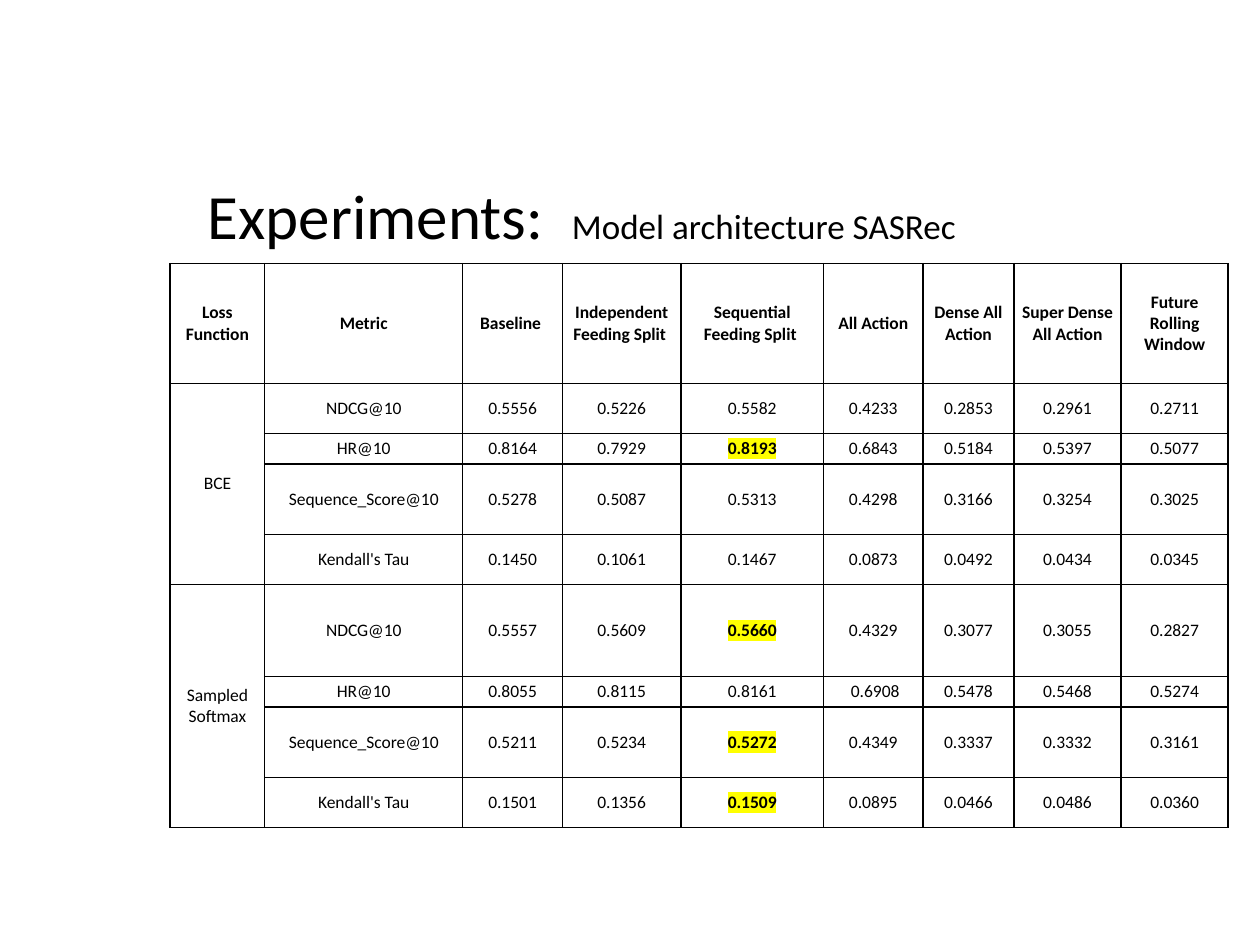
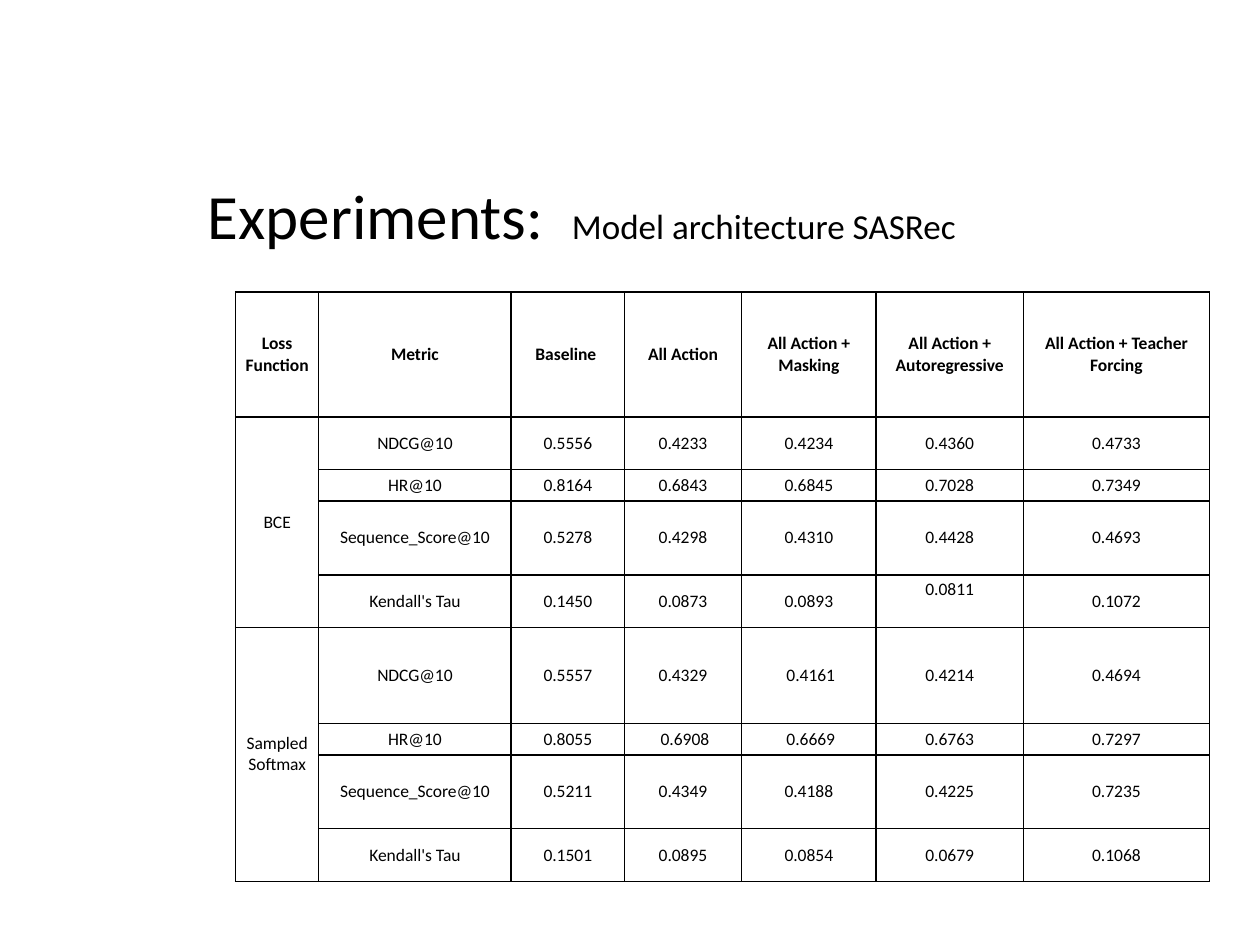
from dataclasses import dataclass
from lxml.etree import SubElement
from pptx import Presentation
from pptx.dml.color import RGBColor
from pptx.enum.text import MSO_ANCHOR, PP_ALIGN
from pptx.oxml import parse_xml
from pptx.oxml.ns import qn
from pptx.util import Inches, Pt

NS = 'xmlns:a="http://schemas.openxmlformats.org/drawingml/2006/main"'


@dataclass(frozen=True)
class Theme:
    """Colours, type sizes and measures that the slides share."""
    font: str = "Calibri"
    ink: str = "000000"
    paper: str = "FFFFFF"
    mark: str = "FFFF00"
    head: int = 36
    sub: int = 20
    body: int = 10
    rule: int = 1
    padx: float = 0.05
    pady: float = 0.03


THEME = Theme()
WIDE, HIGH = 10, 7.5
TITLE = (0.155, 0.143, 0.795, 0.167)
ROWS = (0.95, 0.4, 0.24, 0.56, 0.4, 0.73, 0.24, 0.56, 0.4)
LOSSES = ("BCE", "Sampled Softmax")
METRICS = ("NDCG@10", "HR@10", "Sequence_Score@10", "Kendall's Tau")
BASE = ("0.5556", "0.8164", "0.5278", "0.1450",
        "0.5557", "0.8055", "0.5211", "0.1501")
ACTION = ("0.4233", "0.6843", "0.4298", "0.0873",
          "0.4329", " 0.6908", "0.4349", "0.0895")

SPLITS = {
    "Baseline ": BASE,
    "Independent Feeding Split ": (
        "0.5226", "0.7929", "0.5087", "0.1061",
        "0.5609", "0.8115", "0.5234", "0.1356"),
    "Sequential Feeding Split ": (
        "0.5582", "0.8193", "0.5313", "0.1467",
        "0.5660", "0.8161", "0.5272", "0.1509"),
    "All Action": ACTION,
    "Dense All Action": (
        "0.2853", "0.5184", "0.3166", "0.0492",
        "0.3077", "0.5478", "0.3337", "0.0466"),
    "Super Dense All Action": (
        "0.2961", "0.5397", "0.3254", "0.0434",
        "0.3055", "0.5468", "0.3332", "0.0486"),
    "Future Rolling Window": (
        "0.2711", "0.5077", "0.3025", "0.0345",
        "0.2827", "0.5274", "0.3161", "0.0360"),
}
MODES = {
    "Baseline ": BASE,
    "All Action": ACTION,
    "All Action + Masking": (
        "0.4234", "0.6845", "0.4310", "0.0893",
        " 0.4161", " 0.6669", "0.4188", "0.0854"),
    "All Action + Autoregressive": (
        "0.4360", "0.7028", "0.4428", "0.0811",
        "0.4214", "0.6763", "0.4225", "0.0679"),
    "All Action + Teacher Forcing": (
        "0.4733", "0.7349", "0.4693", "0.1072",
        "0.4694", "0.7297", "0.7235", "0.1068"),
}
SPLIT_COLS = (0.75, 1.57, 0.79, 0.94, 1.13, 0.79, 0.72, 0.85, 0.85)
MODE_COLS = (0.66, 1.53, 0.9, 0.93, 1.07, 1.17, 1.48)
BEST = {"0.8193", "0.5660", "0.5272", "0.1509"}
RAISED = {"0.0811"}


def place(box):
    """Turn shares of the slide into lengths."""
    return [Inches(part * size) for part, size in zip(box, (WIDE, HIGH) * 2)]


def style(run, size, bold=False):
    """Give a run the shared font and colour."""
    run.font.name = THEME.font
    run.font.size = Pt(size)
    run.font.bold = bold
    run.font.color.rgb = RGBColor.from_string(THEME.ink)


def light(run):
    """Highlight a run in the marker colour."""
    tint = parse_xml(f'<a:highlight {NS}><a:srgbClr val="{THEME.mark}"/></a:highlight>')
    run.font._element.find(qn("a:solidFill")).addnext(tint)


def frame(cell):
    """Rule all four sides of a cell."""
    props = cell._tc.get_or_add_tcPr()
    for spot, side in enumerate(("lnL", "lnR", "lnT", "lnB")):
        line = parse_xml(f'<a:{side} {NS} w="{Pt(THEME.rule)}"/>')
        fill = SubElement(line, qn("a:solidFill"))
        SubElement(fill, qn("a:srgbClr"), val=THEME.ink)
        props.insert(spot, line)


def write(cell, text, bold):
    """Fill a cell with centred text."""
    cell.text_frame.text = text
    cell.vertical_anchor = MSO_ANCHOR.TOP if text in RAISED else MSO_ANCHOR.MIDDLE
    para = cell.text_frame.paragraphs[0]
    para.alignment = PP_ALIGN.CENTER
    for run in para.runs:
        style(run, THEME.body, bold or text in BEST)
        if text in BEST:
            light(run)


def title(slide, box):
    """Set the heading and its smaller second part in the box."""
    text = slide.shapes.add_textbox(*place(box)).text_frame
    text.word_wrap = True
    text.vertical_anchor = MSO_ANCHOR.MIDDLE
    para = text.paragraphs[0]
    para.text = "Experiments:  "
    para.add_run().text = "Model architecture SASRec"
    for run, size in zip(para.runs, (THEME.head, THEME.sub)):
        style(run, size)


def grid(slide, box, cols, data):
    """Draw the results table, sharing the box among columns and rows."""
    left, top, width, height = place(box)
    table = slide.shapes.add_table(len(ROWS), len(cols), left, top, width, height).table
    table.first_row = table.horz_banding = False
    for col, part in zip(table.columns, cols):
        col.width = int(width * part / sum(cols))
    for row, part in zip(table.rows, ROWS):
        row.height = int(height * part / sum(ROWS))
    losses = [name for loss in LOSSES for name in (loss, "", "", "")]
    lines = [("Loss Function", "Metric", *data),
             *zip(losses, METRICS * len(LOSSES), *data.values())]
    for r, line in enumerate(lines):
        for c, text in enumerate(line):
            cell = table.cell(r, c)
            cell.margin_left = cell.margin_right = Inches(THEME.padx)
            cell.margin_top = cell.margin_bottom = Inches(THEME.pady)
            cell.fill.solid()
            cell.fill.fore_color.rgb = RGBColor.from_string(THEME.paper)
            frame(cell)
            write(cell, text, r == 0)
    step = len(METRICS)
    for r in range(1, len(ROWS), step):
        table.cell(r, 0).merge(table.cell(r + step - 1, 0))


def page(deck, box, cols, data):
    """Add a slide with the shared title and one results table."""
    slide = deck.slides.add_slide(deck.slide_layouts[6])
    title(slide, TITLE)
    grid(slide, box, cols, data)


def main():
    """Build and save the deck."""
    deck = Presentation()
    deck.slide_width, deck.slide_height = Inches(WIDE), Inches(HIGH)
    page(deck, (0.135, 0.279, 0.84, 0.597), SPLIT_COLS, SPLITS)
    page(deck, (0.187, 0.309, 0.773, 0.624), MODE_COLS, MODES)
    deck.save("out.pptx")


if __name__ == "__main__":
    main()
